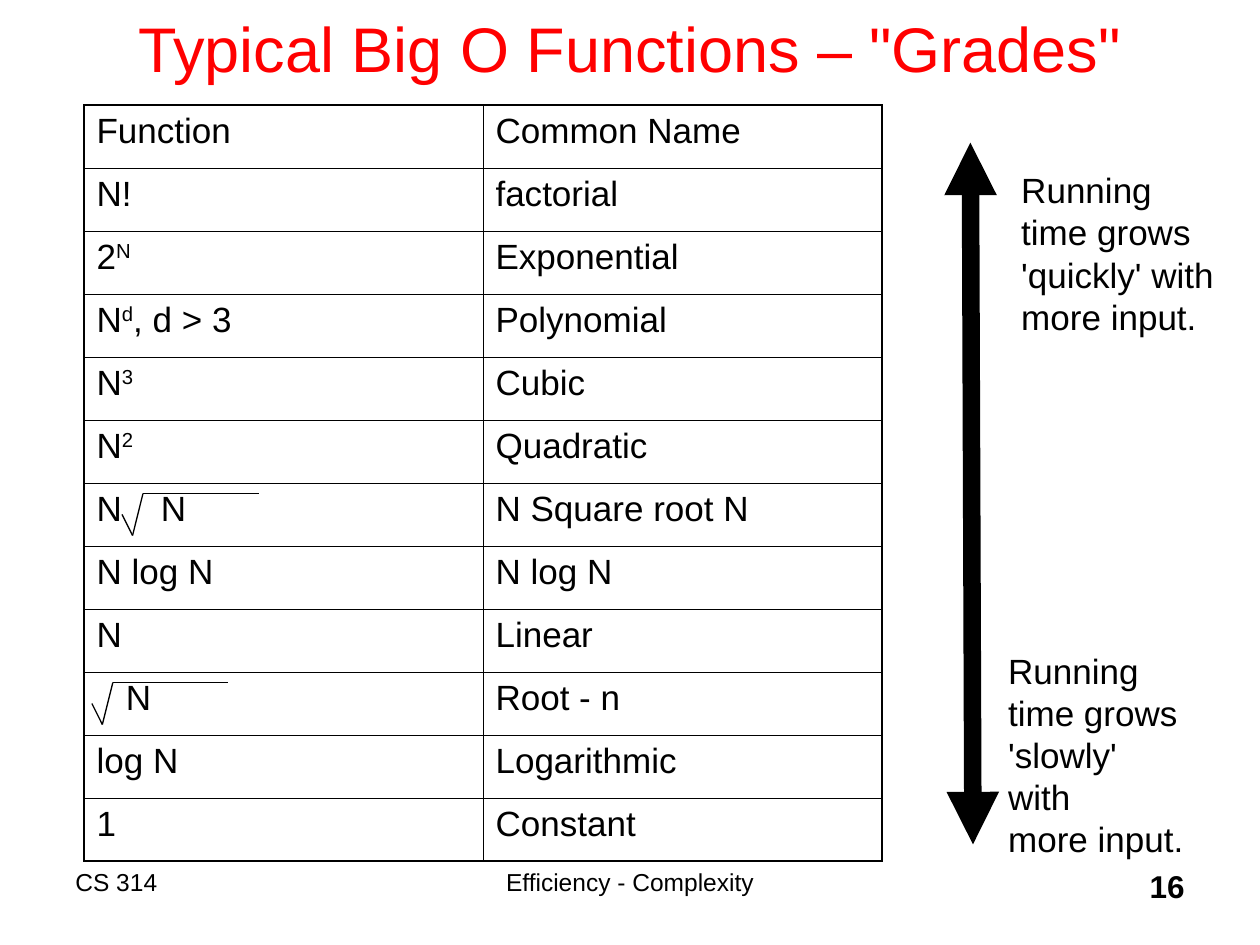
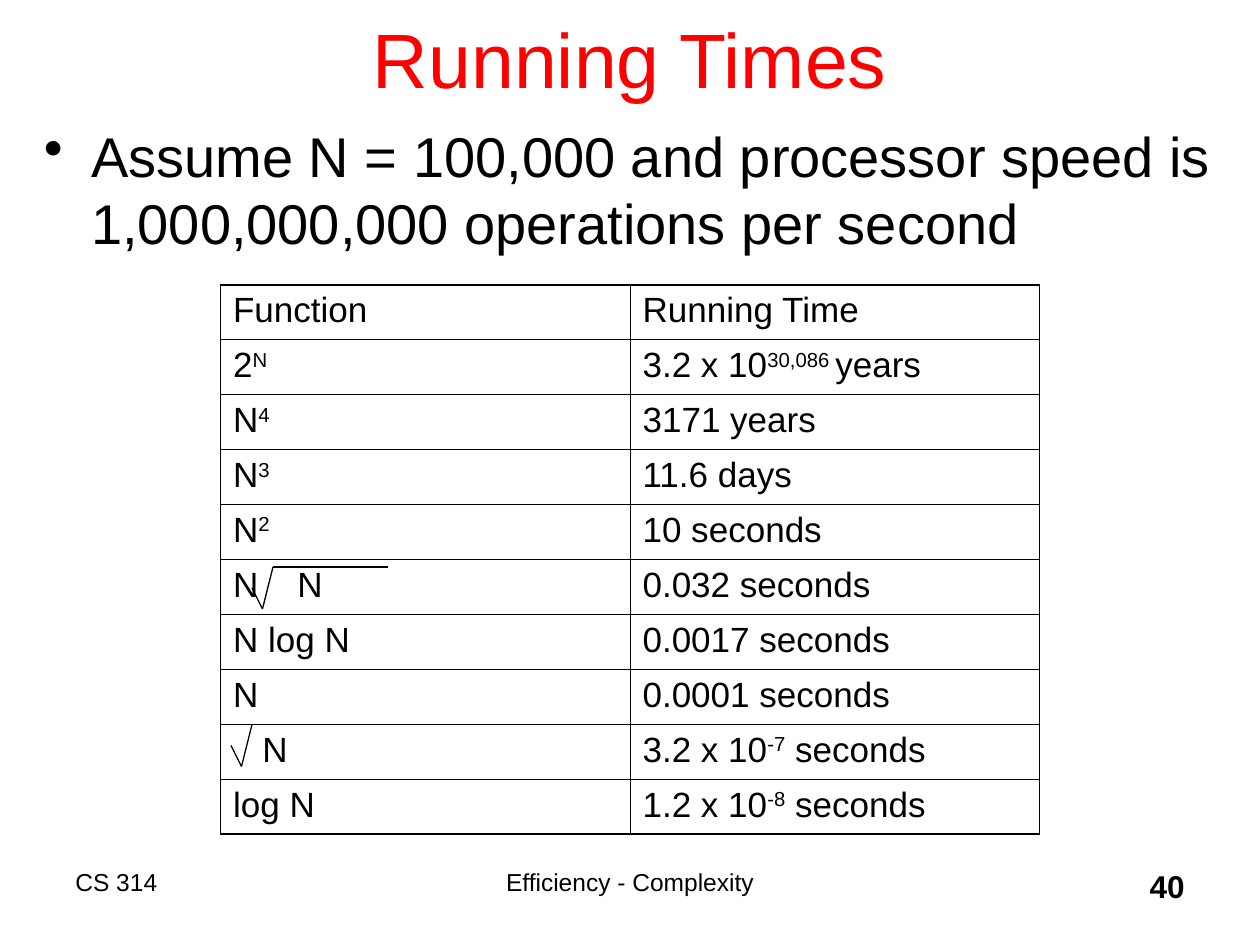
from itertools import pairwise

from lxml.etree import SubElement
from pptx import Presentation
from pptx.dml.color import RGBColor
from pptx.enum.shapes import MSO_CONNECTOR
from pptx.enum.text import MSO_ANCHOR, MSO_AUTO_SIZE, PP_ALIGN
from pptx.oxml.ns import qn
from pptx.util import Pt

COLORS = {"title": "FF0000", "ink": "000000"}
FONT = "Arial"
COURSE = "CS 314"
TOPIC = "Efficiency - Complexity"
OUTER_BORDER, INNER_BORDER = 1.08, 0.45
RADICAL_POINTS = [(0, 12), (6, 24), (12, 0), (78, 0)]
RADICAND_INDENT = 16.7
RADICAND_TAB = 36.7

GRADES = [
    ("Function", "Common Name"),
    ("N!", "factorial"),
    ("2^N", "Exponential"),
    ("N^d^, d > 3", "Polynomial"),
    ("N^3", "Cubic"),
    ("N^2", "Quadratic"),
    ("N√N", "N Square root N"),
    ("N log N", "N log N"),
    ("N", "Linear"),
    ("√N", "Root - n"),
    ("log N", "Logarithmic"),
    ("1", "Constant"),
]
RUNNING_TIMES = [
    ("Function", "Running Time"),
    ("2^N", "3.2 x 10^30,086 ^years"),
    ("N^4", "3171 years"),
    ("N^3", "11.6 days"),
    ("N^2", "10 seconds"),
    ("N√N", "0.032 seconds"),
    ("N log N", "0.0017 seconds"),
    ("N", "0.0001 seconds"),
    ("√N", "3.2 x 10^-7^ seconds"),
    ("log N", "1.2 x 10^-8^ seconds"),
]


def style_paragraph(paragraph, size, color="ink", bold=False, align=PP_ALIGN.LEFT):
    paragraph.alignment = align
    paragraph.font.name = FONT
    paragraph.font.size = Pt(size)
    paragraph.font.bold = bold
    paragraph.font.color.rgb = RGBColor.from_string(COLORS[color])


def add_text(slide, box, text, size, wrap=True, **style):
    frame = slide.shapes.add_textbox(*map(Pt, box)).text_frame
    frame.word_wrap = wrap
    paragraph = frame.paragraphs[0]
    paragraph.text = text
    style_paragraph(paragraph, size, **style)
    return paragraph


def add_line(slide, start, end, width, arrows=False):
    line = slide.shapes.add_connector(
        MSO_CONNECTOR.STRAIGHT, *map(Pt, (*start, *end))
    )
    line.line.width = Pt(width)
    line.line.color.rgb = RGBColor.from_string(COLORS["ink"])
    properties = line._element.spPr
    SubElement(properties, qn("a:effectLst"))
    if arrows:
        for tag in ("a:headEnd", "a:tailEnd"):
            SubElement(properties.find(qn("a:ln")), qn(tag), type="triangle")


def add_radical(slide, left, top):
    points = [(left + x, top + y) for x, y in RADICAL_POINTS]
    for start, end in pairwise(points):
        add_line(slide, start, end, 0.75)


def add_title(slide, box, text, size):
    title = slide.shapes.title
    title.left, title.top, title.width, title.height = map(Pt, box)
    frame = title.text_frame
    frame.text = text
    frame.vertical_anchor = MSO_ANCHOR.MIDDLE
    frame.auto_size = MSO_AUTO_SIZE.NONE
    style_paragraph(frame.paragraphs[0], size, "title", align=PP_ALIGN.CENTER)


def add_footer(slide, number):
    top, height = 492, 36
    add_text(slide, (36, top, 180, height), COURSE, 14)
    add_text(slide, (222, top, 276, height), TOPIC, 14, align=PP_ALIGN.CENTER)
    add_text(slide, (534, top, 150, height), str(number), 18,
             bold=True, align=PP_ALIGN.RIGHT)


def fill_cell(cell, text):
    paragraph = cell.text_frame.paragraphs[0]
    style_paragraph(paragraph, 20)
    paragraph.space_before = Pt(5)
    properties = paragraph._p.get_or_add_pPr()
    factor, radical, radicand = text.partition("√")
    if radical and factor:
        tabs = properties.makeelement(qn("a:tabLst"))
        SubElement(tabs, qn("a:tab"), pos=str(Pt(RADICAND_TAB)), algn="l")
        properties.find(qn("a:defRPr")).addprevious(tabs)
        text = f"{factor}\t{radicand}"
    elif radical:
        properties.set("marL", str(Pt(RADICAND_INDENT)))
        properties.set("indent", "0")
        text = radicand
    for index, part in enumerate(text.split("^")):
        run = paragraph.add_run()
        run.text = part
        if index % 2:
            run._r.get_or_add_rPr().set("baseline", "30000")


def set_borders(cell, outer_sides):
    properties = cell._tc.get_or_add_tcPr()
    for side, is_outer in outer_sides.items():
        width = OUTER_BORDER if is_outer else INNER_BORDER
        border = SubElement(properties, qn(f"a:ln{side}"), w=str(Pt(width)))
        fill = SubElement(border, qn("a:solidFill"))
        SubElement(fill, qn("a:srgbClr"), val=COLORS["ink"])
    cell.fill.background()


def add_function_table(slide, box, entries):
    last_row, last_column = len(entries) - 1, len(entries[0]) - 1
    table = slide.shapes.add_table(
        len(entries), len(entries[0]), *map(Pt, box)
    ).table
    table.first_row = table.horz_banding = False
    for row in table.rows:
        row.height = Pt(box[3] / len(entries))
    for row, entry in enumerate(entries):
        for column, text in enumerate(entry):
            cell = table.cell(row, column)
            fill_cell(cell, text)
            set_borders(cell, {
                "L": column == 0, "R": column == last_column,
                "T": row == 0, "B": row == last_row,
            })


def add_growth_scale(slide, left, top):
    add_line(slide, (left + 1.5, top + 401), (left, top), 10, arrows=True)
    for x, y, width, pace in ((22, 11.5, 125, "quickly"), (14.5, 286, 117, "slowly")):
        add_text(slide, (left + x, top + y, width, 104),
                 f"Running\ntime grows\n'{pace}' with\nmore input.", 20, wrap=False)


def add_bullet(slide, box, text):
    paragraph = add_text(slide, box, text, 32)
    paragraph.space_before = Pt(8)
    properties = paragraph._p.get_or_add_pPr()
    properties.set("marL", str(Pt(27)))
    properties.set("indent", str(-Pt(27)))
    bullet = properties.makeelement(qn("a:buChar"), char="•")
    properties.find(qn("a:defRPr")).addprevious(bullet)


def start_slide(presentation, title_box, title, title_size, number):
    slide = presentation.slides.add_slide(presentation.slide_layouts[5])
    add_title(slide, title_box, title, title_size)
    add_footer(slide, number)
    return slide


def build_grades(presentation):
    slide = start_slide(presentation, (54, -18, 612, 90),
                        'Typical Big O Functions – "Grades"', 36, 16)
    add_function_table(slide, (48, 60, 456, 432), GRADES)
    add_radical(slide, 52.5, 390)
    add_radical(slide, 69.75, 282)
    add_growth_scale(slide, 554.5, 81.5)


def build_running_times(presentation):
    slide = start_slide(presentation, (54, -12, 612, 90), "Running Times", 44, 40)
    add_bullet(slide, (18, 66, 684, 432),
               "Assume N = 100,000 and processor speed is "
               "1,000,000,000 operations per second")
    add_function_table(slide, (126, 162.75, 468, 314), RUNNING_TIMES)
    add_radical(slide, 144, 324)
    add_radical(slide, 132, 414)


def main():
    presentation = Presentation()
    presentation.slide_width, presentation.slide_height = Pt(720), Pt(540)
    build_grades(presentation)
    build_running_times(presentation)
    presentation.save("out.pptx")


if __name__ == "__main__":
    main()
